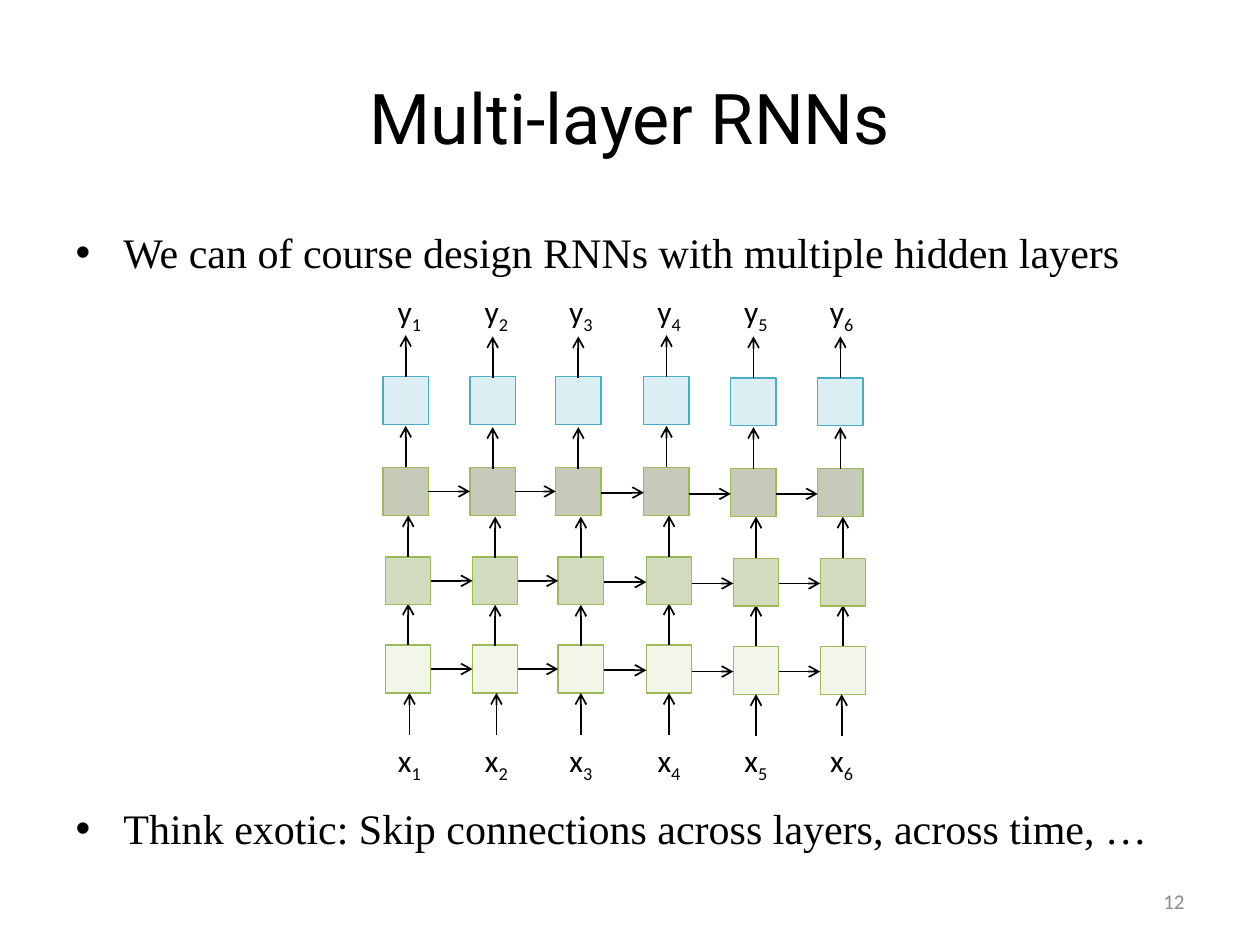
"""Build a slide showing a multi-layer recurrent network."""
from dataclasses import dataclass
from itertools import pairwise

from lxml.etree import SubElement
from pptx import Presentation
from pptx.dml.color import RGBColor
from pptx.enum.shapes import MSO_CONNECTOR as CONN, MSO_SHAPE as SHAPE
from pptx.enum.text import MSO_ANCHOR as ANCHOR, MSO_AUTO_SIZE as AUTO, PP_ALIGN as ALIGN
from pptx.oxml.ns import qn
from pptx.util import Pt

PX = 9144
BOX_W, BOX_H, ARROW = 36, 38, 33
LABEL_W, LABEL_H = 44, 40
COLORS = {
    "black": "000000",
    "gray": "8C8C8C",
    "green": "9BBB59",
    "light": "D7E4BD",
    "medium": "77933C",
    "dark": "4F6228",
    "aqua": "4BACC6",
    "sky": "93CDDD",
}


@dataclass
class Step:
    dx: int
    label_x: int
    box_drop: int
    arrow_drop: int
    link_drop: int


@dataclass
class Layer:
    left: int
    top: int
    fill: str
    line: str
    linked: bool = True


STEPS = [
    Step(0, 325, 0, 0, 0),
    Step(69, 394, 0, 1, 0),
    Step(137, 461, 0, 1, 1),
    Step(207, 531, 0, 0, 2),
    Step(276, 600, 1, 1, 2),
    Step(345, 668, 1, 1, 2),
]
LAYERS = [
    Layer(306, 512, "light", "green"),
    Layer(306, 442, "medium", "green"),
    Layer(304, 371, "dark", "green"),
    Layer(304, 299, "sky", "aqua", False),
]
INPUT_Y, LABELS = 583, {"x": 583, "y": 227}


def rgb(name: str) -> RGBColor:
    return RGBColor.from_string(COLORS[name])


def px(*values: int) -> list[int]:
    return [v * PX for v in values]


def style(r, font: str, size: int, color: str = "black") -> None:
    r.font.name, r.font.size = font, Pt(size)
    r.font.color.rgb = rgb(color)


def add_arrow(shapes, x1: int, y1: int, x2: int, y2: int) -> None:
    conn = shapes.add_connector(CONN.STRAIGHT, *px(x1, y1, x2, y2))
    conn.line.color.rgb = rgb("black")
    conn.line.width = Pt(1)
    SubElement(conn.line._get_or_add_ln(), qn("a:tailEnd"), type="arrow")
    SubElement(conn._element.spPr, qn("a:effectLst"))


def add_box(shapes, left: int, top: int, layer: Layer) -> None:
    sp = shapes.add_shape(SHAPE.RECTANGLE, *px(left, top, BOX_W, BOX_H))
    sp.shadow.inherit = False
    sp.fill.solid()
    sp.fill.fore_color.rgb = rgb(layer.fill)
    color = sp._element.spPr.find(qn("a:solidFill"))[0]
    SubElement(color, qn("a:alpha"), val="33000")
    sp.line.color.rgb = rgb(layer.line)
    sp.line.width = Pt(0.75)


def add_layer(shapes, layer: Layer) -> None:
    for step in STEPS:
        left = layer.left + step.dx
        add_box(shapes, left, layer.top + step.box_drop, layer)
        x, y = left + BOX_W // 2, layer.top + step.arrow_drop
        add_arrow(shapes, x, y, x, y - ARROW)
    if layer.linked:
        for a, b in pairwise(STEPS):
            y = layer.top + BOX_H // 2 + a.link_drop
            add_arrow(shapes, layer.left + a.dx + BOX_W, y, layer.left + b.dx, y)


def add_label(shapes, letter: str, number: int, center: int, top: int) -> None:
    sp = shapes.add_textbox(*px(center - LABEL_W // 2, top, LABEL_W, LABEL_H))
    tf = sp.text_frame
    tf.word_wrap = False
    tf.auto_size = AUTO.SHAPE_TO_FIT_TEXT
    p = tf.paragraphs[0]
    p.alignment = ALIGN.CENTER
    for text in (letter, str(number)):
        r = p.add_run()
        r.text = text
        style(r, "Calibri", 18)
    r.font._element.set("baseline", "-25000")


def place(sp, box: tuple[int, int, int, int], text: str, font: str, size: int,
          color: str = "black"):
    sp.left, sp.top, sp.width, sp.height = px(*box)
    tf = sp.text_frame
    tf.text = text
    tf.word_wrap = True
    tf.auto_size = AUTO.NONE
    p = tf.paragraphs[0]
    style(p.runs[0], font, size, color)
    return p


def add_bullet(sp, box: tuple[int, int, int, int], text: str) -> None:
    pPr = place(sp, box, text, "Times New Roman", 24)._p.get_or_add_pPr()
    pPr.set("marL", str(38 * PX))
    pPr.set("indent", str(-38 * PX))


def main() -> None:
    prs = Presentation()
    prs.slide_width, prs.slide_height = px(1000, 750)
    s = prs.slides.add_slide(prs.slide_layouts[3])
    title, first, second = s.placeholders
    place(title, (50, 30, 900, 125), "Multi-layer RNNs", "Roboto", 40)
    add_bullet(first, (50, 175, 900, 63),
               "We can of course design RNNs with multiple hidden layers")
    add_bullet(second, (50, 632, 950, 63),
               "Think exotic: Skip connections across layers, across time, …")

    number = s.shapes.add_textbox(0, 0, PX, PX)
    p = place(number, (717, 695, 233, 40), "12", "Calibri", 12, "gray")
    p.alignment = ALIGN.RIGHT
    number.text_frame.vertical_anchor = ANCHOR.MIDDLE

    for layer in LAYERS:
        add_layer(s.shapes.add_group_shape().shapes, layer)
    for i, step in enumerate(STEPS, 1):
        y = INPUT_Y + step.box_drop
        add_arrow(s.shapes, step.label_x, y, step.label_x, y - ARROW)
        for letter, top in LABELS.items():
            add_label(s.shapes, letter, i, step.label_x, top)
    prs.save("out.pptx")


if __name__ == "__main__":
    main()
